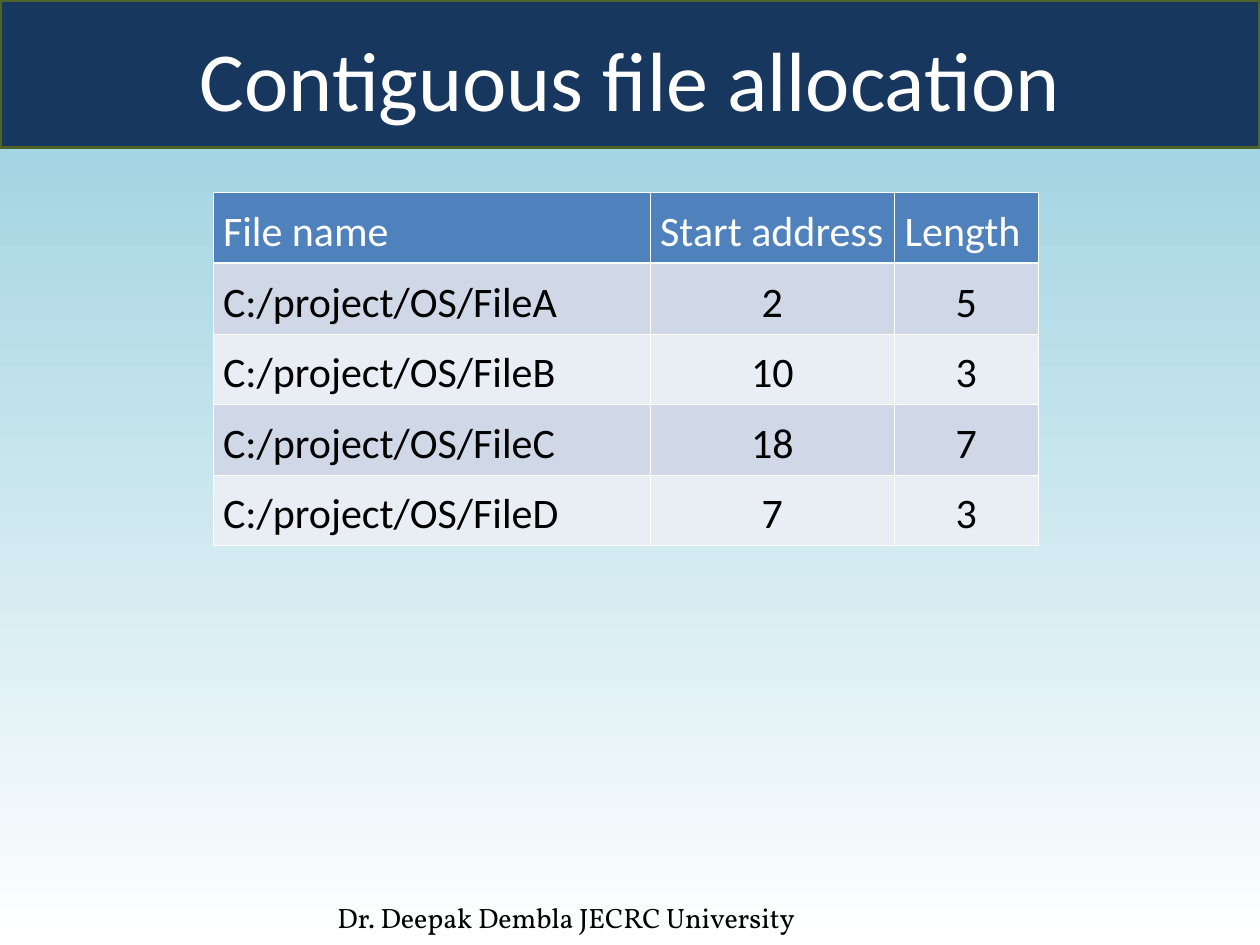
from dataclasses import dataclass

from lxml.etree import SubElement
from pptx import Presentation
from pptx.dml.color import RGBColor
from pptx.enum.text import MSO_ANCHOR, MSO_AUTO_SIZE, PP_ALIGN
from pptx.oxml.ns import qn
from pptx.slide import Slide
from pptx.table import _Cell
from pptx.util import Inches, Pt


@dataclass(frozen=True)
class Theme:
    sky: str = "93CDDD"
    white: str = "FFFFFF"
    black: str = "000000"
    navy: str = "17375E"
    olive: str = "4F6228"
    header: str = "4F81BD"
    bands: tuple[str, str] = ("D0D8E8", "E9EDF4")
    font: str = "Calibri"
    footer_font: str = "Vollkorn"
    title_size: int = 48
    table_size: int = 24
    footer_size: int = 16
    thin: float = 0.45
    thick: float = 1.47


@dataclass(frozen=True)
class Column:
    heading: str
    width: float
    align: PP_ALIGN


@dataclass(frozen=True)
class FileEntry:
    name: str
    start: int
    length: int


THEME = Theme()
COLUMNS = (
    Column("File name", 3.47, PP_ALIGN.JUSTIFY),
    Column("Start address", 1.94, PP_ALIGN.CENTER),
    Column("Length", 1.14, PP_ALIGN.CENTER),
)
FILES = (
    FileEntry("C:/project/OS/FileA", 2, 5),
    FileEntry("C:/project/OS/FileB", 10, 3),
    FileEntry("C:/project/OS/FileC", 18, 7),
    FileEntry("C:/project/OS/FileD", 7, 3),
)
ROW_HEIGHT = 0.56


def rgb(value: str) -> RGBColor:
    return RGBColor.from_string(value)


def style_font(p, name: str, size: int, color: str) -> None:
    p.font.name = name
    p.font.size = Pt(size)
    p.font.bold = False
    p.font.color.rgb = rgb(color)


def paint_background(s: Slide) -> None:
    fill = s.background.fill
    fill.gradient()
    fill.gradient_angle = 270
    for stop, position, color in zip(fill.gradient_stops, (0, 1), (THEME.sky, THEME.white)):
        stop.position = position
        stop.color.rgb = rgb(color)


def add_footer(s: Slide, text: str) -> None:
    sp = s.shapes.add_textbox(Inches(2.58), Inches(7.1), Inches(5.92), Inches(0.4))
    tf = sp.text_frame
    tf.word_wrap = True
    tf.text = text
    style_font(tf.paragraphs[0], THEME.footer_font, THEME.footer_size, THEME.black)


def set_title(s: Slide, text: str) -> None:
    sp = s.shapes.title
    sp.left, sp.top, sp.width, sp.height = (Inches(v) for v in (0, 0, 10, 1.17))
    sp.fill.solid()
    sp.fill.fore_color.rgb = rgb(THEME.navy)
    sp.line.color.rgb = rgb(THEME.olive)
    sp.line.width = Pt(2)
    tf = sp.text_frame
    tf.text = text
    tf.auto_size = MSO_AUTO_SIZE.NONE
    tf.vertical_anchor = MSO_ANCHOR.MIDDLE
    tf.margin_top = Inches(0.12)
    p = tf.paragraphs[0]
    p.alignment = PP_ALIGN.CENTER
    style_font(p, THEME.font, THEME.title_size, THEME.white)


def add_borders(cell: _Cell, top: float, bottom: float) -> None:
    """Draw white cell edges; call before filling, since lines precede the fill in tcPr."""
    tc_pr = cell._tc.get_or_add_tcPr()
    widths = {"a:lnL": THEME.thin, "a:lnR": THEME.thin, "a:lnT": top, "a:lnB": bottom}
    for tag, width in widths.items():
        ln = SubElement(tc_pr, qn(tag), w=str(Pt(width)))
        SubElement(SubElement(ln, qn("a:solidFill")), qn("a:srgbClr"), val=THEME.white)


def fill_cell(cell: _Cell, text: str, row: int, align: PP_ALIGN) -> None:
    is_header = row == 0
    add_borders(
        cell,
        top=THEME.thick if row == 1 else THEME.thin,
        bottom=THEME.thick if is_header else THEME.thin,
    )
    cell.fill.solid()
    cell.fill.fore_color.rgb = rgb(THEME.header if is_header else THEME.bands[(row - 1) % 2])
    cell.margin_left = cell.margin_right = Inches(0.08)
    cell.text = text
    p = cell.text_frame.paragraphs[0]
    p.alignment = PP_ALIGN.JUSTIFY if is_header else align
    p.line_spacing = 1.15
    style_font(p, THEME.font, THEME.table_size, THEME.white if is_header else THEME.black)


def add_file_table(s: Slide) -> None:
    rows = [[c.heading for c in COLUMNS]]
    rows += [[f.name, str(f.start), str(f.length)] for f in FILES]
    width = sum(c.width for c in COLUMNS)
    table = s.shapes.add_table(
        len(rows), len(COLUMNS), Inches(1.69), Inches(1.53),
        Inches(width), Inches(ROW_HEIGHT * len(rows)),
    ).table
    table.first_row = table.horz_banding = False
    for col, column in enumerate(COLUMNS):
        table.columns[col].width = Inches(column.width)
    for row, texts in enumerate(rows):
        table.rows[row].height = Inches(ROW_HEIGHT)
        for col, text in enumerate(texts):
            fill_cell(table.cell(row, col), text, row, COLUMNS[col].align)


def main() -> None:
    prs = Presentation()
    prs.slide_width, prs.slide_height = Inches(10), Inches(7.5)
    s = prs.slides.add_slide(prs.slide_layouts.get_by_name("Title Only"))
    paint_background(s)
    add_footer(s, "Dr. Deepak Dembla JECRC University")
    set_title(s, "Contiguous file allocation")
    add_file_table(s)
    prs.save("out.pptx")


if __name__ == "__main__":
    main()
